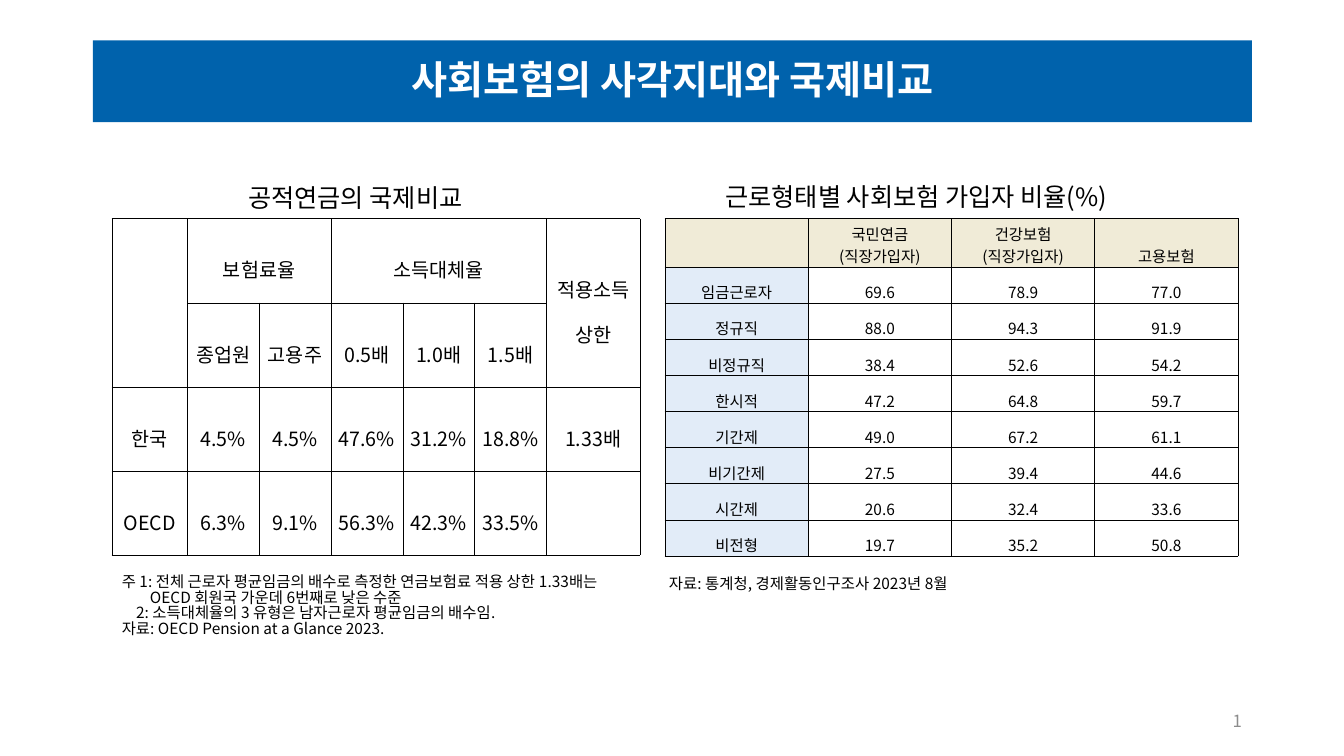
from lxml.etree import SubElement
from pptx import Presentation
from pptx.dml.color import RGBColor
from pptx.enum.shapes import MSO_SHAPE
from pptx.enum.text import MSO_ANCHOR, MSO_AUTO_SIZE, PP_ALIGN
from pptx.oxml.ns import qn
from pptx.util import Cm, Pt

FONT = "Noto Sans CJK KR"
BLACK = RGBColor(0x00, 0x00, 0x00)
WHITE = RGBColor(0xFF, 0xFF, 0xFF)
GRAY = RGBColor(0x8C, 0x8C, 0x8C)
BLUE = RGBColor(0x00, 0x62, 0xAC)
CREAM = RGBColor(0xF0, 0xEB, 0xD7)
PALE_BLUE = RGBColor(0xE2, 0xEC, 0xF8)


class PageBuilder:
    def __init__(self, page):
        self.page = page

    def style(self, frame, size, color=BLACK, bold=False, align=PP_ALIGN.LEFT, spacing=None):
        for para in frame.paragraphs:
            para.alignment = align
            para.font.size = Pt(size)
            if spacing:
                para.line_spacing = spacing
            for span in para.runs:
                span.font.name = FONT
                span.font.size = Pt(size)
                span.font.bold = bold
                span.font.color.rgb = color
                SubElement(span.font._element, qn("a:ea"), typeface=FONT)

    def banner(self, text, left, top, width, height):
        box = self.page.shapes.add_shape(
            MSO_SHAPE.RECTANGLE, Cm(left), Cm(top), Cm(width), Cm(height))
        box.shadow.inherit = False
        box.fill.solid()
        box.fill.fore_color.rgb = BLUE
        box.line.fill.background()
        box.text_frame.text = text
        box.text_frame.vertical_anchor = MSO_ANCHOR.MIDDLE
        self.style(box.text_frame, 28, WHITE, True, PP_ALIGN.CENTER, 0.9)

    def text(self, text, left, top, width, height, size, color=BLACK,
             align=PP_ALIGN.LEFT, anchor=MSO_ANCHOR.TOP, grow=True, spacing=None, indents=()):
        box = self.page.shapes.add_textbox(Cm(left), Cm(top), Cm(width), Cm(height))
        frame = box.text_frame
        frame.word_wrap = True
        frame.vertical_anchor = anchor
        if grow:
            frame.auto_size = MSO_AUTO_SIZE.SHAPE_TO_FIT_TEXT
        frame.text = text
        self.style(frame, size, color, align=align, spacing=spacing)
        for para, indent in zip(frame.paragraphs, indents):
            para._p.get_or_add_pPr().set("marL", str(Cm(indent)))

    def border(self, cell, width):
        properties = cell._tc.get_or_add_tcPr()
        for position, side in enumerate(("lnL", "lnR", "lnT", "lnB")):
            line = properties.makeelement(qn(f"a:{side}"), {"w": str(Pt(width))})
            fill = SubElement(line, qn("a:solidFill"))
            SubElement(fill, qn("a:srgbClr"), val=str(BLACK))
            properties.insert(position, line)

    def table(self, rows, left, top, widths, heights, size, line, anchor, margins,
              merges=(), spacing=None, head_fill=None, side_fill=None):
        table = self.page.shapes.add_table(
            len(rows), len(widths), Cm(left), Cm(top), Cm(sum(widths)), Cm(sum(heights))).table
        table.first_row = table.horz_banding = False
        for column, width in zip(table.columns, widths):
            column.width = Cm(width)
        for row, height in zip(table.rows, heights):
            row.height = Cm(height)
        for r, values in enumerate(rows):
            for c, value in enumerate(values):
                cell = table.cell(r, c)
                cell.text = value
                cell.vertical_anchor = anchor
                (cell.margin_left, cell.margin_top,
                 cell.margin_right, cell.margin_bottom) = [Cm(m) for m in margins]
                fill = head_fill if r == 0 else side_fill if c == 0 else None
                if fill:
                    cell.fill.solid()
                    cell.fill.fore_color.rgb = fill
                else:
                    cell.fill.background()
                self.border(cell, line)
                self.style(cell.text_frame, size, align=PP_ALIGN.CENTER, spacing=spacing)
        for first, last in merges:
            table.cell(*first).merge(table.cell(*last))


def main():
    deck = Presentation()
    deck.slide_width, deck.slide_height = Cm(33.87), Cm(19.05)
    builder = PageBuilder(deck.slides.add_slide(deck.slide_layouts[6]))

    # Title and page number
    builder.banner("사회보험의 사각지대와 국제비교", 2.34, 1.02, 29.21, 2.06)
    builder.text("1", 23.93, 17.65, 7.62, 1.02, 12, GRAY, PP_ALIGN.RIGHT,
                 MSO_ANCHOR.MIDDLE, grow=False)

    # Public pensions compared
    builder.text("공적연금의 국제비교", 3.48, 4.47, 10.95, 1.04, 18, align=PP_ALIGN.CENTER)
    pensions = [
        ["", "보험료율", "", "소득대체율", "", "", "적용소득 상한"],
        ["", "종업원", "고용주", "0.5배", "1.0배", "1.5배", ""],
        ["한국", "4.5%", "4.5%", "47.6%", "31.2%", "18.8%", "1.33배"],
        ["OECD", "6.3%", "9.1%", "56.3%", "42.3%", "33.5%", ""],
    ]
    builder.table(pensions, 2.82, 5.51, [1.9] + [1.81] * 5 + [2.36], [2.12] * 4,
                  14, 0.28, MSO_ANCHOR.MIDDLE, (0.18, 0.05, 0.18, 0.05), spacing=1.6,
                  merges=[((0, 0), (1, 0)), ((0, 1), (0, 2)),
                          ((0, 3), (0, 5)), ((0, 6), (1, 6))])
    notes = [
        "주 1: 전체 근로자 평균임금의 배수로 측정한 연금보험료 적용 상한 1.33배는",
        "OECD 회원국 가운데 6번째로 낮은 수준",
        "2: 소득대체율의 3 유형은 남자근로자 평균임금의 배수임.",
        "자료: OECD Pension at a Glance 2023.",
    ]
    builder.text("\n".join(notes), 2.82, 14.22, 13.64, 2.13, 11, anchor=MSO_ANCHOR.MIDDLE,
                 spacing=0.84, indents=(0, 0.71, 0.36, 0))

    # Coverage by type of work
    builder.text("근로형태별 사회보험 가입자 비율(%)", 18.03, 4.45, 11.1, 1.02, 18)
    coverage = [
        ["", "국민연금\n(직장가입자)", "건강보험\n(직장가입자)", "고용보험"],
        ["임금근로자", "69.6", "78.9", "77.0"],
        ["정규직", "88.0", "94.3", "91.9"],
        ["비정규직", "38.4", "52.6", "54.2"],
        ["한시적", "47.2", "64.8", "59.7"],
        ["기간제", "49.0", "67.2", "61.1"],
        ["비기간제", "27.5", "39.4", "44.6"],
        ["시간제", "20.6", "32.4", "33.6"],
        ["비전형", "19.7", "35.2", "50.8"],
    ]
    builder.table(coverage, 16.76, 5.51, [3.61] * 4, [1.22] + [0.91] * 8,
                  11, 0.5, MSO_ANCHOR.BOTTOM, (0.02, 0.02, 0.02, 0),
                  head_fill=CREAM, side_fill=PALE_BLUE)
    builder.text("자료: 통계청, 경제활동인구조사 2023년 8월", 16.61, 14.33, 13.64, 0.74, 11,
                 anchor=MSO_ANCHOR.MIDDLE)

    deck.save("out.pptx")


if __name__ == "__main__":
    main()
